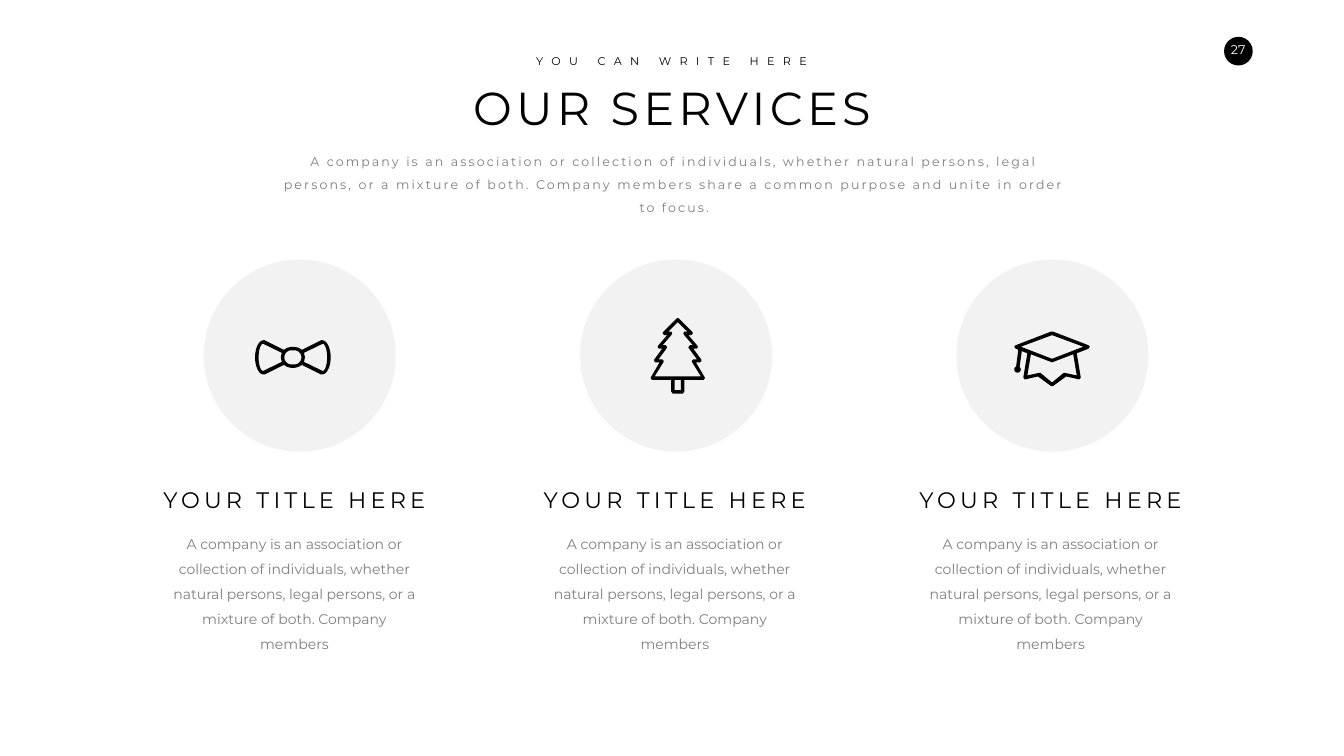
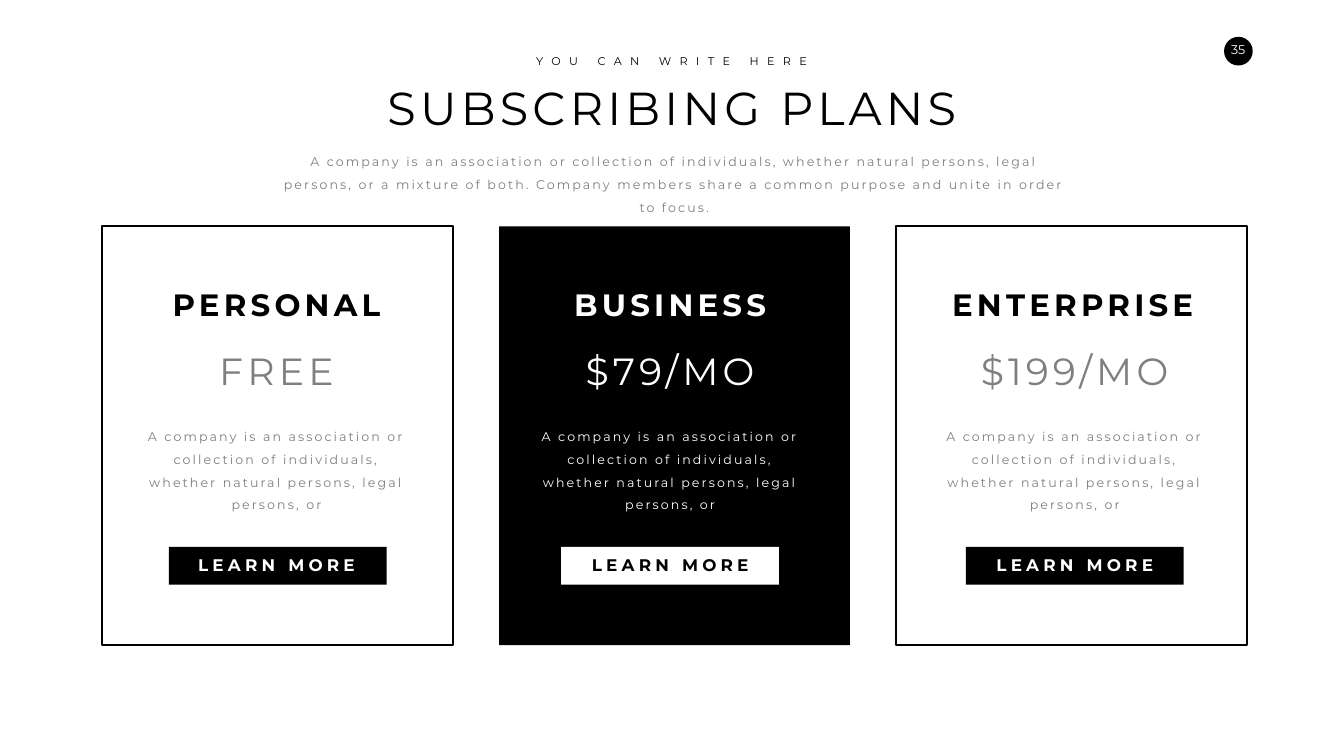
from math import cos, radians, sin

from pptx import Presentation
from pptx.dml.color import RGBColor
from pptx.enum.shapes import MSO_SHAPE
from pptx.enum.text import MSO_AUTO_SIZE, PP_ALIGN
from pptx.util import Pt

CENTER = PP_ALIGN.CENTER
GROW = MSO_AUTO_SIZE.SHAPE_TO_FIT_TEXT
OVAL, RECT = MSO_SHAPE.OVAL, MSO_SHAPE.RECTANGLE

BLACK = RGBColor(0x00, 0x00, 0x00)
WHITE = RGBColor(0xFF, 0xFF, 0xFF)
GRAY = RGBColor(0x7F, 0x7F, 0x7F)
PALE = RGBColor(0xF2, 0xF2, 0xF2)
FONT = "Montserrat"

SLIDE_W, SLIDE_H = 1919.52, 1080
ICON_UNIT = Pt(0.72)  # icons are drawn on a grid of hundredths of an inch

SUBTITLE = "YOU CAN WRITE HERE"
INTRO = ("A company is an association or collection of individuals, whether "
         "natural persons, legal persons, or a mixture of both. Company members "
         "share a common purpose and unite in order to focus.")
SERVICE_TITLE = "YOUR TITLE HERE"
SERVICE_TEXT = ("A company is an association or collection of individuals, whether "
                "natural persons, legal persons, or a mixture of both. Company members")
PLAN_TEXT = ("A company is an association or collection of individuals, whether "
             "natural persons, legal persons, or")


# Basic elements
def add_text(slide, text, x, y, w, h, size, color=BLACK, bold=False,
             tracking=0, leading=None, wrap=True, inset=(7.2, 3.6)):
    sp = slide.shapes.add_textbox(Pt(x), Pt(y), Pt(w), Pt(h))
    tf = sp.text_frame
    tf.word_wrap = wrap
    tf.auto_size = GROW
    tf.margin_left = tf.margin_right = Pt(inset[0])
    tf.margin_top = tf.margin_bottom = Pt(inset[1])
    p = tf.paragraphs[0]
    p.alignment = CENTER
    if leading:
        p.line_spacing = leading
    r = p.add_run()
    r.text = text
    r.font.name = FONT
    r.font.size = Pt(size)
    r.font.bold = bold
    r.font.color.rgb = color
    if tracking:
        r._r.get_or_add_rPr().set("spc", str(tracking * 100))


def style_shape(sp, fill=None, line=None):
    sp.shadow.inherit = False
    if fill is None:
        sp.fill.background()
    else:
        sp.fill.solid()
        sp.fill.fore_color.rgb = fill
    if line is None:
        sp.line.fill.background()
    else:
        sp.line.color.rgb = line
        sp.line.width = Pt(3)


def add_block(slide, kind, x, y, w, h, fill=None, line=None):
    sp = slide.shapes.add_shape(kind, Pt(x), Pt(y), Pt(w), Pt(h))
    style_shape(sp, fill, line)


# Icon outlines, centred on (0, 0)
def arc(cx, cy, rx, ry, start=-90, end=90, steps=16):
    angles = [radians(start + (end - start) * i / steps) for i in range(steps + 1)]
    return [(cx + rx * cos(a), cy + ry * sin(a)) for a in angles]


def flip(points):
    return [(-x, y) for x, y in reversed(points)]


def mirror(points):
    """Close a right-hand half with its reflection."""
    return points + flip(points)


def bow_tie():
    outer = ([(3, -21), (11, -19), (18, -15), (56, -34)]
             + arc(58, 0, 17, 34) + [(56, 34), (18, 15), (11, 19), (3, 21)])
    wing = [(22, 9), (24, 0), (22, -9)] + arc(59, 0, 9, 27)
    knot = arc(3, 0, 14, 14)
    return [mirror(outer), wing, flip(wing), mirror(knot)]


def pine_tree():
    outer = [(0, -75), (2, -74), (29, -47), (30, -45), (27, -41), (21, -41),
             (39, -20), (40, -17), (37, -14), (31, -14), (47, 8), (47, 10),
             (44, 13), (36, 13), (53, 42), (54, 44), (51, 48), (13, 48),
             (13, 71), (10, 75)]
    crown = [(0, -67), (19, -48), (13, -48), (11, -45), (12, -42), (30, -21),
             (24, -21), (21, -17), (22, -15), (38, 7), (31, 7), (28, 10),
             (28, 12), (46, 41)]
    trunk = [(6, 48), (6, 68)]
    return [mirror(outer), mirror(crown), mirror(trunk)]


def graduation_cap():
    outer = [(2, -54), (72, -27), (75, -24), (72, -20), (49, -11), (57, 37),
             (54, 41), (28, 35), (2, 54)]
    board = [(0, -47), (62, -24), (0, 0)]
    base = [(0, 7), (42, -9), (49, 33), (26, 28), (23, 28), (0, 47)]
    tassel = [(-67, -18), (-60, -16)] + arc(-68.5, 21, 6.5, 6.5, -50, 245)
    return [mirror(outer), mirror(board), mirror(base), tassel]


def add_icon(slide, contours, cx, cy):
    scaled = [[(x * ICON_UNIT, y * ICON_UNIT) for x, y in c] for c in contours]
    fb = slide.shapes.build_freeform(*scaled[0][0])
    fb.add_line_segments(scaled[0][1:])
    for contour in scaled[1:]:
        fb.move_to(*contour[0])
        fb.add_line_segments(contour[1:])
    style_shape(fb.convert_to_shape(Pt(cx), Pt(cy)), fill=BLACK)


# Page number and heading shared by the slides
def add_page(prs, number, title):
    slide = prs.slides.add_slide(prs.slide_layouts[6])
    add_block(slide, OVAL, 1748.2, 52.6, 41, 41, fill=BLACK)
    add_text(slide, str(number), 1737.4, 52.6, 61.9, 36.7, 18, WHITE,
             wrap=False, inset=(14.4, 7.2))
    add_text(slide, title, 537.8, 109.4, 844.6, 87.1, 66, tracking=6)
    add_text(slide, SUBTITLE, 712.8, 73.4, 493.2, 26.6, 16, tracking=12)
    add_text(slide, INTRO, 385.9, 205.9, 1154.2, 72.7, 18, GRAY,
             tracking=3, leading=1.5)
    return slide


# Slide parts
def add_service(slide, circle_x, text_mid, icon, icon_x, icon_y):
    add_block(slide, OVAL, circle_x, 370.8, 274.3, 274.3, fill=PALE)
    add_icon(slide, icon, icon_x, icon_y)
    add_text(slide, SERVICE_TITLE, text_mid - 196.9, 691.2, 393.8, 46.1, 32,
             tracking=6, wrap=False)
    add_text(slide, SERVICE_TEXT, text_mid - 188.6, 748.8, 377.3, 152.6, 20,
             GRAY, leading=1.5)


def add_plan(slide, card_x, mid, button_x, name, name_x, name_w, price, dark):
    main, soft = (WHITE, WHITE) if dark else (BLACK, GRAY)
    add_block(slide, RECT, card_x, 323.3, 501.1, 598.3,
              fill=BLACK if dark else None, line=None if dark else BLACK)
    add_text(slide, name, name_x, 404.6, name_w, 60.5, 44, main,
             bold=True, tracking=6)
    add_text(slide, price, mid - 178.9, 492.5, 357.8, 72.7, 54, soft, tracking=6)
    add_text(slide, PLAN_TEXT, mid - 191.2, 599, 382.3, 138.2, 18, soft,
             tracking=3, leading=1.5)
    add_block(slide, RECT, button_x, 781.2, 311, 54, fill=main)
    add_text(slide, "LEARN MORE", mid - 134.6, 789.1, 269.3, 36.7, 24,
             BLACK if dark else WHITE, bold=True, tracking=6)


def main():
    prs = Presentation()
    prs.slide_width, prs.slide_height = Pt(SLIDE_W), Pt(SLIDE_H)

    # Services: text centre, icon outline, icon centre
    slide = add_page(prs, 27, "OUR SERVICES")
    services = [
        (420.5, bow_tie(), 418.3, 510.5),
        (963.8, pine_tree(), 968, 508.3),
        (1500.5, graduation_cap(), 1502.6, 512.6),
    ]
    for i, service in enumerate(services):
        add_service(slide, 290.9 + i * 537.5, *service)

    # Plans: text centre, button left, name with its left and width, price, dark
    slide = add_page(prs, 35, "SUBSCRIBING PLANS")
    plans = [
        (394.9, 241.2, "PERSONAL", 216, 357.8, "FREE", False),
        (957.2, 801.4, "BUSINESS", 778.3, 357.8, "$79/MO", True),
        (1535, 1379.5, "ENTERPRISE", 1329.1, 406.1, "$199/MO", False),
    ]
    for i, plan in enumerate(plans):
        add_plan(slide, 146.2 + i * 566.6, *plan)

    prs.save("out.pptx")


if __name__ == "__main__":
    main()
